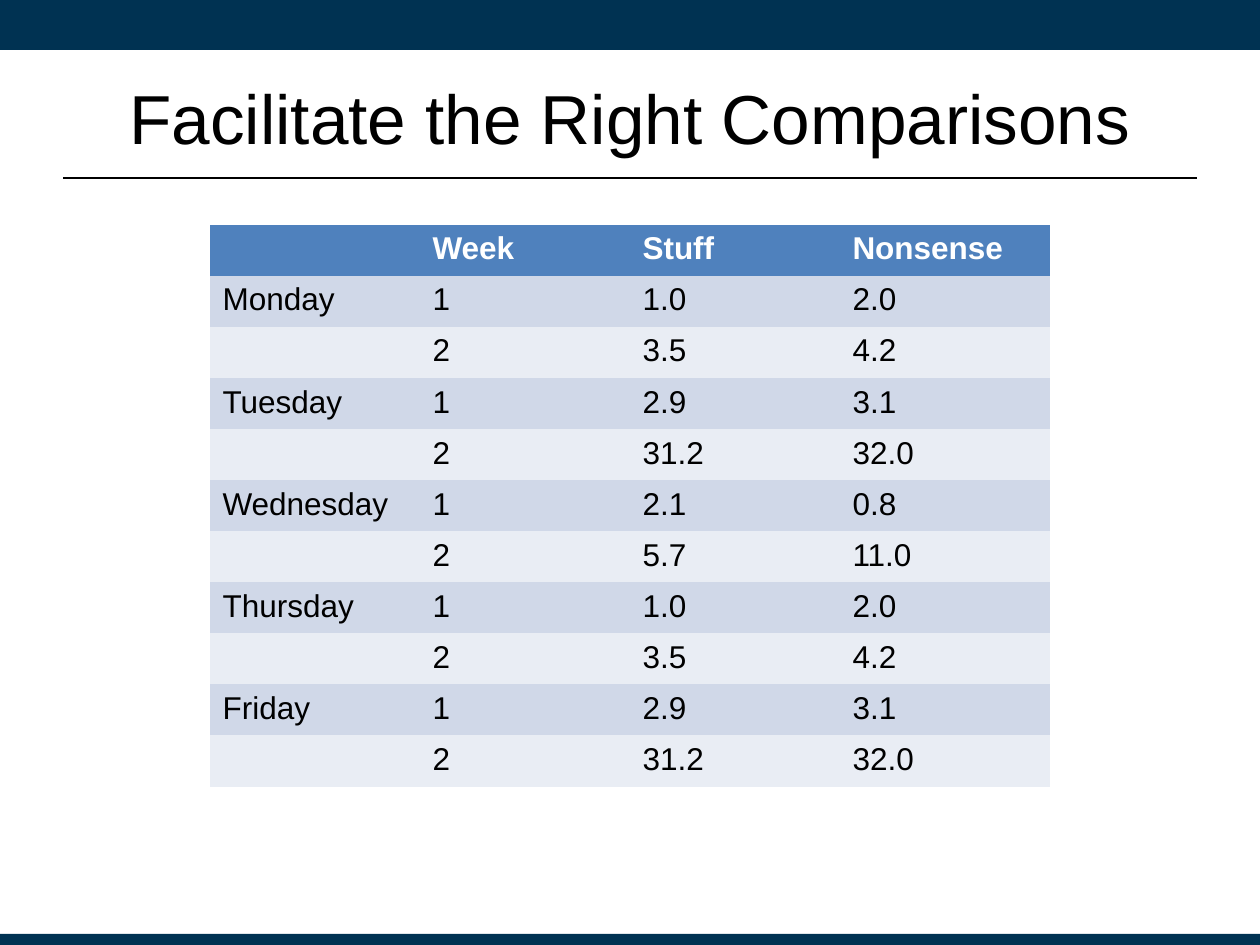
from typing import NamedTuple

from lxml import etree
from pptx import Presentation
from pptx import util as u
from pptx.dml.color import RGBColor
from pptx.enum import shapes, text
from pptx.oxml.ns import qn

PX = 914400 / 126
WIDTH, HEIGHT = 1260, 945
FONT = "Arial"
NO_STYLE_NO_GRID = "{2D5ABB26-0587-4C30-8999-92F81FD0307C}"
COLORS = {
    "bar": "003252",
    "text": "000000",
    "header": "4F81BD",
    "header_text": "FFFFFF",
    "week_1": "D0D8E8",
    "week_2": "E9EDF4",
}


class Box(NamedTuple):
    left: int
    top: int
    width: int
    height: int


class Day(NamedTuple):
    name: str
    week_1: tuple[str, str]
    week_2: tuple[str, str]


BARS = [Box(0, 0, WIDTH, 50), Box(0, 934, WIDTH, 11)]
TITLE = Box(63, 38, 1134, 158)
RULE_Y = 178
TABLE = Box(210, 225, 840, 562)
HEADER = ("", "Week", "Stuff", "Nonsense")
DAYS = [
    Day("Monday", ("1.0", "2.0"), ("3.5", "4.2")),
    Day("Tuesday", ("2.9", "3.1"), ("31.2", "32.0")),
    Day("Wednesday", ("2.1", "0.8"), ("5.7", "11.0")),
    Day("Thursday", ("1.0", "2.0"), ("3.5", "4.2")),
    Day("Friday", ("2.9", "3.1"), ("31.2", "32.0")),
]


def px(n: float) -> u.Emu:
    return u.Emu(round(n * PX))


def emu(box: Box) -> list[u.Emu]:
    return [px(n) for n in box]


def color(name: str) -> RGBColor:
    return RGBColor.from_string(COLORS[name])


def set_font(p, size: float, name: str = "text", bold: bool = False) -> None:
    p.font.name, p.font.size, p.font.bold = FONT, u.Pt(size), bold
    p.font.color.rgb = color(name)


def add_bar(s, box: Box) -> None:
    sp = s.shapes.add_shape(shapes.MSO_SHAPE.RECTANGLE, *emu(box))
    sp.shadow.inherit = False
    sp.fill.solid()
    sp.fill.fore_color.rgb = color("bar")
    sp.line.fill.background()


def add_rule(s) -> None:
    line = s.shapes.add_connector(
        shapes.MSO_CONNECTOR.STRAIGHT,
        px(TITLE.left), px(RULE_Y), px(TITLE.left + TITLE.width), px(RULE_Y),
    )
    line.line.color.rgb = color("text")
    line.line.width = u.Pt(1.25)
    etree.SubElement(line._element.spPr, qn("a:effectLst"))


def set_title(s, words: str) -> None:
    sp = s.shapes.title
    sp.left, sp.top, sp.width, sp.height = emu(TITLE)
    tf = sp.text_frame
    tf.text = words
    tf.word_wrap = True
    tf.auto_size = text.MSO_AUTO_SIZE.NONE
    tf.vertical_anchor = text.MSO_ANCHOR.MIDDLE
    p = tf.paragraphs[0]
    p.alignment = text.PP_ALIGN.CENTER
    set_font(p, 39.6)


def add_days_table(s) -> None:
    rows = [("header", HEADER)]
    for day in DAYS:
        rows.append(("week_1", (day.name, "1", *day.week_1)))
        rows.append(("week_2", ("", "2", *day.week_2)))

    table = s.shapes.add_table(len(rows), len(HEADER), *emu(TABLE)).table
    table._tbl.tblPr.find(qn("a:tableStyleId")).text = NO_STYLE_NO_GRID
    for r, (kind, values) in enumerate(rows):
        is_header = kind == "header"
        for c, value in enumerate(values):
            cell = table.cell(r, c)
            cell.fill.solid()
            cell.fill.fore_color.rgb = color(kind)
            cell.text = value
            set_font(cell.text_frame.paragraphs[0], 18,
                     "header_text" if is_header else "text", is_header)


def main() -> None:
    prs = Presentation()
    prs.slide_width, prs.slide_height = px(WIDTH), px(HEIGHT)
    s = prs.slides.add_slide(prs.slide_layouts.get_by_name("Title Only"))
    for bar in BARS:
        add_bar(s, bar)
    add_rule(s)
    set_title(s, "Facilitate the Right Comparisons")
    add_days_table(s)
    prs.save("out.pptx")


if __name__ == "__main__":
    main()
